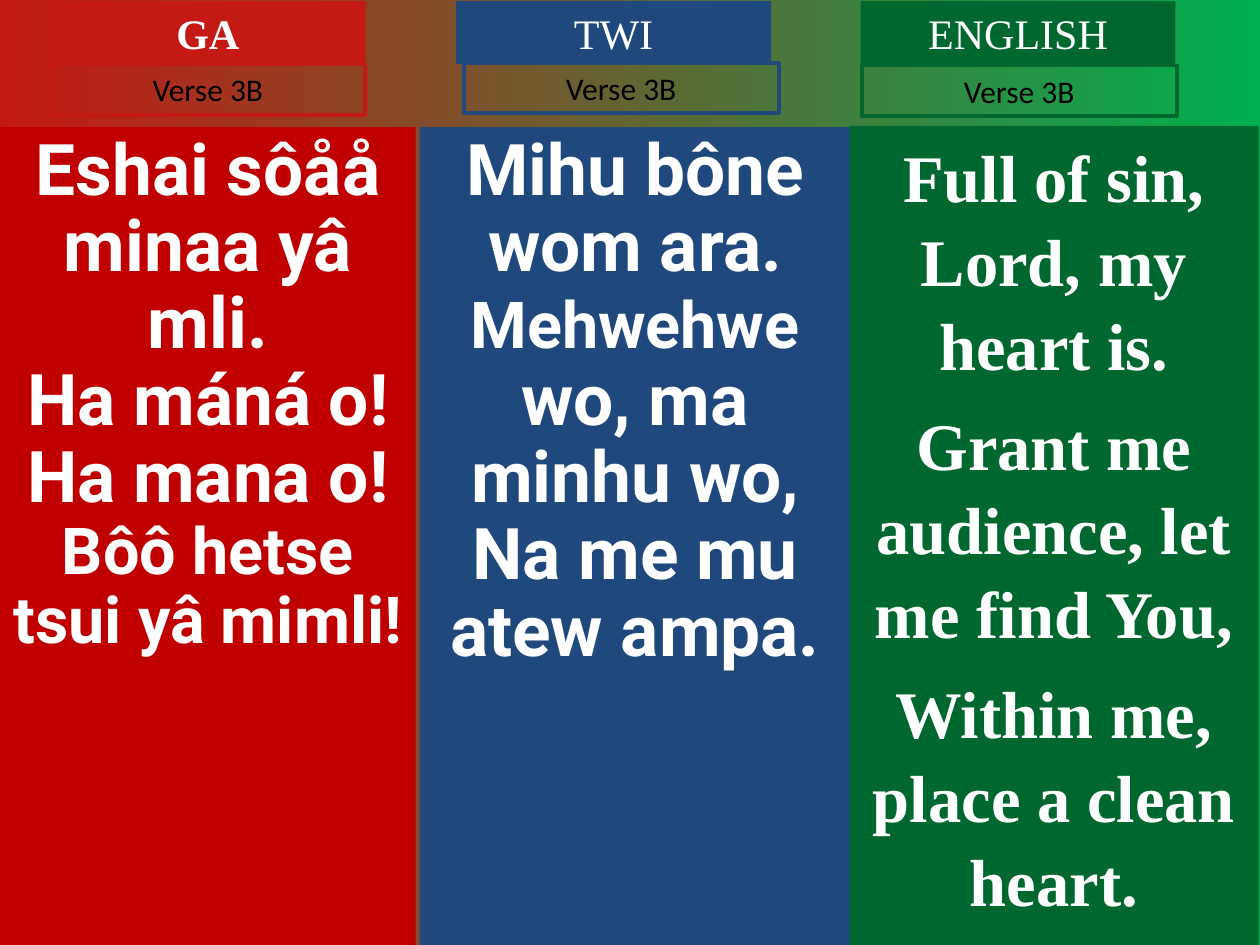
from dataclasses import dataclass

import pptx
import pptx.dml.color
import pptx.enum.shapes
import pptx.enum.text
import pptx.util

Pt = pptx.util.Pt
Run = tuple[str, float]

HEADER_WIDTH, HEADER_HEIGHT, VERSE_HEIGHT = 180, 36, 28.8
HEADER_TOP = 0.72
WHITE, BLACK = "FFFFFF", "000000"
LARGE, SMALL = 40.7, 37


@dataclass
class Box:
    left: float
    top: float
    width: float
    height: float


@dataclass
class Style:
    face: str
    color: str
    bold: bool = False
    line_spacing: float = 1.0
    gap: float = 0
    grows: bool = False


@dataclass
class Column:
    language: str
    color: str
    lyrics_color: str
    lyrics_box: Box
    header_left: float
    header_bold: bool
    verse_left: float
    verse_top: float
    lyrics_style: Style
    lyrics: list[list[Run]]


ROBOTO = Style("Roboto", WHITE, bold=True, line_spacing=0.9)
SERIF = Style("Times New Roman", WHITE, bold=True, line_spacing=1.05, gap=9.5)

COLUMNS = [
    Column("GA", "C51915", "C00000", Box(0, 72.72, 237.6, 467.28),
           28.8, True, 28.8, 36.72, ROBOTO,
           [[("Eshai sôåå minaa yâ mli.", LARGE)],
            [("Ha máná o! Ha mana o!", LARGE)],
            [("Bôô hetse tsui yâ mimli!", SMALL)]]),
    Column("TWI", "1F497D", "1F497D", Box(239.76, 72.72, 246.24, 467.28),
           260.64, False, 264.96, 36, ROBOTO,
           [[("Mihu bône wom ara.", LARGE)],
            [("Mehwehwe", SMALL), (" wo, ma minhu wo,", LARGE)],
            [("Na me mu atew ampa.", LARGE)]]),
    Column("ENGLISH", "00682F", "00682F", Box(485.28, 72, 234, 468),
           491.76, False, 492.48, 37.44, SERIF,
           [[("Full of sin, Lord, my heart is.", 38)],
            [("Grant me audience, let me find You,", 38)],
            [("Within me, place a clean heart.", 38)]]),
]


def rgb(value: str) -> pptx.dml.color.RGBColor:
    return pptx.dml.color.RGBColor.from_string(value)


def apply(target, values: dict) -> None:
    for name, value in values.items():
        setattr(target, name, value)


def add_panel(slide, box: Box, paragraphs: list[list[Run]], style: Style,
              fill: str | None = None, outline: str | None = None) -> None:
    """Draw a rectangle, filled or outlined, with centred text at its top."""
    panel = slide.shapes.add_shape(
        pptx.enum.shapes.MSO_SHAPE.RECTANGLE,
        Pt(box.left), Pt(box.top), Pt(box.width), Pt(box.height))
    panel.shadow.inherit = False
    if fill:
        panel.fill.solid()
        panel.fill.fore_color.rgb = rgb(fill)
    else:
        panel.fill.background()
    if outline:
        panel.line.color.rgb = rgb(outline)
        panel.line.width = Pt(2.25)
    else:
        panel.line.fill.background()

    fit = pptx.enum.text.MSO_AUTO_SIZE
    frame = panel.text_frame
    apply(frame, {
        "word_wrap": True,
        "vertical_anchor": pptx.enum.text.MSO_ANCHOR.TOP,
        "auto_size": fit.SHAPE_TO_FIT_TEXT if style.grows else fit.NONE,
        "margin_left": Pt(7.2), "margin_right": Pt(7.2),
        "margin_top": Pt(3.6), "margin_bottom": Pt(3.6),
    })
    for index, runs in enumerate(paragraphs):
        paragraph = frame.add_paragraph() if index else frame.paragraphs[0]
        apply(paragraph, {
            "alignment": pptx.enum.text.PP_ALIGN.CENTER,
            "line_spacing": style.line_spacing,
            "space_before": Pt(style.gap if index else 0),
        })
        for text, size in runs:
            run = paragraph.add_run()
            run.text = text
            apply(run.font, {"name": style.face, "size": Pt(size), "bold": style.bold})
            run.font.color.rgb = rgb(style.color)


def add_column(slide, column: Column) -> None:
    add_panel(slide, column.lyrics_box, column.lyrics, column.lyrics_style,
              fill=column.lyrics_color)
    add_panel(slide, Box(column.header_left, HEADER_TOP, HEADER_WIDTH, HEADER_HEIGHT),
              [[(column.language, 24)]],
              Style("Times New Roman", WHITE, bold=column.header_bold, grows=True),
              fill=column.color)
    add_panel(slide, Box(column.verse_left, column.verse_top, HEADER_WIDTH, VERSE_HEIGHT),
              [[("Verse 3B", 18)]], Style("Calibri", BLACK, grows=True),
              outline=column.color)


def paint_background(slide) -> None:
    fill = slide.background.fill
    fill.gradient()
    fill.gradient_angle = 0
    for stop, position, color in zip(fill.gradient_stops, (0, 1), ("C51915", "00B050")):
        stop.position = position
        stop.color.rgb = rgb(color)


def main() -> None:
    deck = pptx.Presentation()
    deck.slide_width, deck.slide_height = Pt(720), Pt(540)
    slide = deck.slides.add_slide(deck.slide_layouts[6])
    paint_background(slide)
    for column in COLUMNS:
        add_column(slide, column)
    deck.save("out.pptx")


if __name__ == "__main__":
    main()
